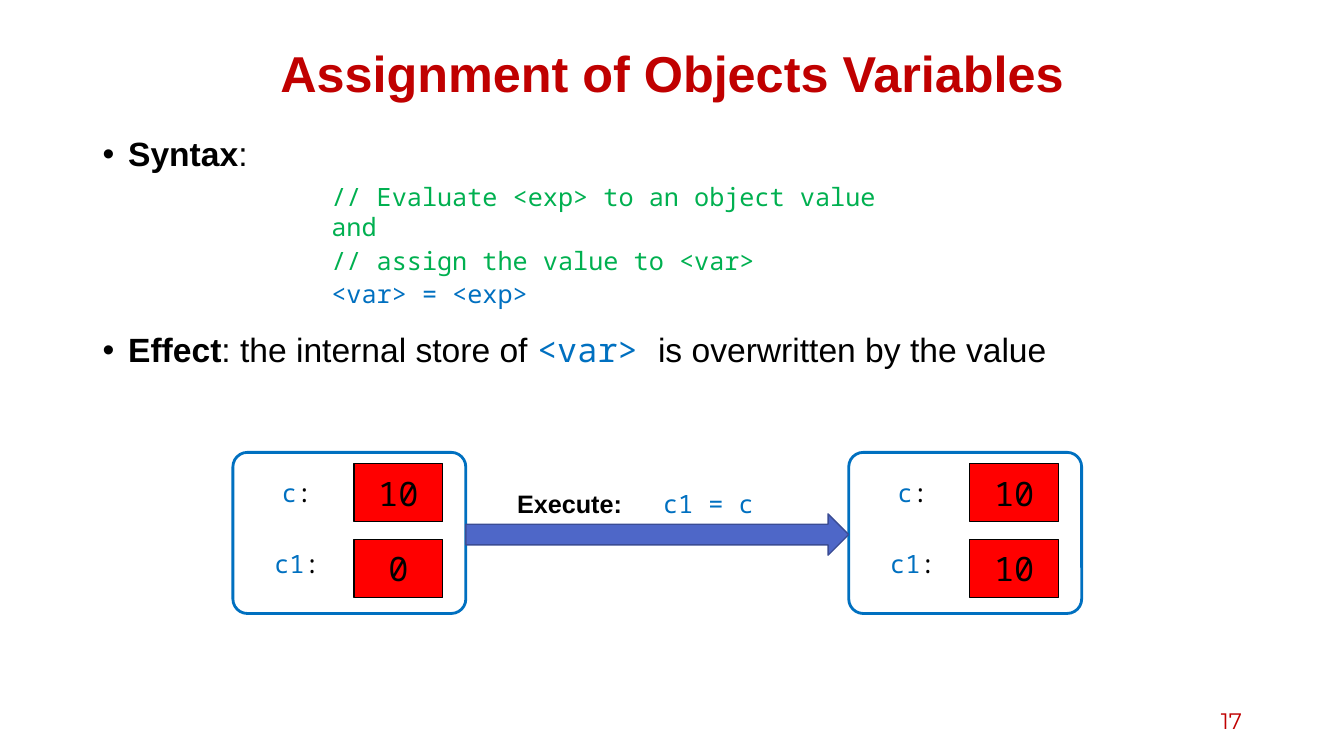
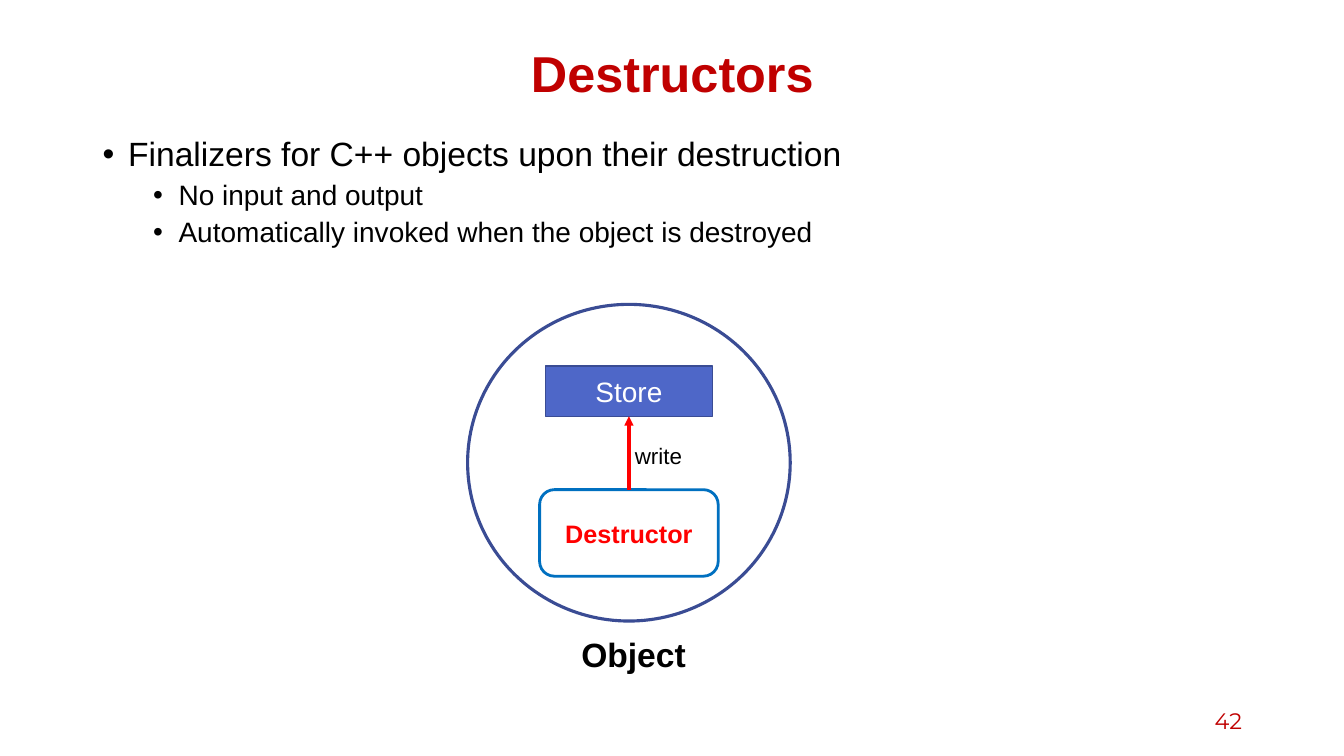
from dataclasses import dataclass

from lxml import etree
from pptx import Presentation
from pptx.dml.color import RGBColor
from pptx.enum import shapes, text
from pptx.oxml import ns
from pptx.util import Cm, Pt

KIND = shapes.MSO_SHAPE
ALIGN = text.PP_ALIGN
ANCHOR = text.MSO_ANCHOR


@dataclass(frozen=True)
class Theme:
    sans: str = "Arial"
    mono: str = "Noto Sans Mono"
    number: str = "Montserrat"
    title_red: str = "C00000"
    red: str = "FF0000"
    black: str = "000000"
    white: str = "FFFFFF"
    blue: str = "0070C0"
    green: str = "00B050"
    indigo: str = "4E67C8"
    dark_indigo: str = "3A4C94"
    title_size: int = 36
    body_size: int = 24
    sub_size: int = 20
    label_size: int = 18
    small_size: int = 16


THEME = Theme()


def style(size, color=THEME.black, name=THEME.sans, bold=False):
    return {"size": Pt(size), "name": name, "bold": bold, "color": color}


TITLE = style(THEME.title_size, THEME.title_red, bold=True)
NUMBER = style(THEME.small_size, THEME.title_red, THEME.number)
BODY = style(THEME.body_size)
BODY_BOLD = style(THEME.body_size, bold=True)
BODY_CODE = style(THEME.body_size, THEME.blue, THEME.mono)
SUB = style(THEME.sub_size)
CODE = style(THEME.label_size, THEME.blue, THEME.mono)
COMMENT = style(THEME.label_size, THEME.green, THEME.mono)
COLON = style(THEME.label_size, name=THEME.mono)
VALUE = style(THEME.body_size, name=THEME.mono)
LABEL = style(THEME.label_size, bold=True)
DESTRUCTOR = style(THEME.label_size, THEME.red, bold=True)
STORE = style(THEME.sub_size, THEME.white)
NOTE = style(THEME.small_size)

# Body paragraphs: level, space before in points, runs
ASSIGNMENT = {
    "title": "Assignment of Objects Variables",
    "number": "17",
    "body": [
        (0, 0, [("Syntax", BODY_BOLD), (":", BODY)]),
        (0, 114, [("Effect", BODY_BOLD), (": the internal store of ", BODY),
                  ("<var> ", BODY_CODE), ("is overwritten by the value", BODY)]),
    ],
}
DESTRUCTORS = {
    "title": "Destructors",
    "number": "42",
    "body": [
        (0, 0, [("Finalizers for C++ objects upon their destruction", BODY)]),
        (1, 5, [("No input and output", SUB)]),
        (1, 5, [("Automatically invoked when the object is destroyed", SUB)]),
    ],
}
SYNTAX = [
    ("// Evaluate <exp> to an object value and", COMMENT),
    ("// assign the value to <var>", COMMENT),
    ("<var> = <exp>", CODE),
]
BEFORE = [("c", "10"), ("c1", "0")]
AFTER = [("c", "10"), ("c1", "10")]


def add_runs(paragraph, runs):
    for wording, format_values in runs:
        run = paragraph.add_run()
        run.text = wording
        for attribute, value in format_values.items():
            if attribute == "color":
                run.font.color.rgb = RGBColor.from_string(value)
            else:
                setattr(run.font, attribute, value)


def add_text(slide, box, paragraphs, align=ALIGN.LEFT, anchor=ANCHOR.TOP, **spacing):
    """Add a text box; spacing holds paragraph attributes, space_before from the second on."""
    frame = slide.shapes.add_textbox(*map(Cm, box)).text_frame
    frame.word_wrap = True
    frame.vertical_anchor = anchor
    for index, runs in enumerate(paragraphs):
        paragraph = frame.add_paragraph() if index else frame.paragraphs[0]
        paragraph.alignment = align
        for attribute, value in spacing.items():
            if index or attribute != "space_before":
                setattr(paragraph, attribute, value)
        add_runs(paragraph, runs)
    return frame


def add_shape(slide, kind, box, line, width, fill=None, runs=()):
    shape = slide.shapes.add_shape(kind, *map(Cm, box))
    shape.shadow.inherit = False
    if fill:
        shape.fill.solid()
        shape.fill.fore_color.rgb = RGBColor.from_string(fill)
    else:
        shape.fill.background()
    shape.line.color.rgb = RGBColor.from_string(line)
    shape.line.width = Pt(width)
    if runs:
        frame = shape.text_frame
        frame.vertical_anchor = ANCHOR.MIDDLE
        frame.paragraphs[0].alignment = ALIGN.CENTER
        add_runs(frame.paragraphs[0], runs)
    return shape


def add_rounded(slide, box, adjustment, runs=()):
    shape = add_shape(slide, KIND.ROUNDED_RECTANGLE, box, THEME.blue, 2, runs=runs)
    shape.adjustments[0] = adjustment


def set_bullet(paragraph, level):
    properties = paragraph._p.get_or_add_pPr()
    properties.set("marL", str(Cm(0.64 + 1.27 * level)))
    properties.set("indent", str(-Cm(0.64)))
    font = etree.SubElement(properties, ns.qn("a:buFont"))
    font.set("typeface", THEME.sans)
    etree.SubElement(properties, ns.qn("a:buChar")).set("char", "•")


def add_slide(presentation, content):
    """Add a slide with the shared title, bulleted body and page number."""
    slide = presentation.slides.add_slide(presentation.slide_layouts[6])
    add_text(slide, (2.34, 1.02, 29.21, 1.78), [[(content["title"], TITLE)]],
             ALIGN.CENTER, ANCHOR.MIDDLE, line_spacing=0.9)
    body = content["body"]
    frame = add_text(slide, (2.34, 3.35, 29.21, 14), [runs for _, _, runs in body],
                     line_spacing=0.9)
    for paragraph, (level, before, _) in zip(frame.paragraphs, body):
        paragraph.level = level
        if before:
            paragraph.space_before = Pt(before)
        set_bullet(paragraph, level)
    add_text(slide, (23.93, 17.65, 7.62, 1.02), [[(content["number"], NUMBER)]],
             ALIGN.RIGHT, ANCHOR.MIDDLE)
    return slide


def add_memory(slide, left, top, width, variables):
    """Draw a rounded frame holding one named cell per variable."""
    for row, (name, value) in enumerate(variables):
        add_shape(slide, KIND.RECTANGLE,
                  (left + 3.05, top + 0.28 + 1.91 * row, 2.24, 1.47),
                  THEME.black, 1, THEME.red, [(value, VALUE)])
        add_text(slide, (left + 0.65, top + 0.51 + 1.78 * row, 1.93, 1.02),
                 [[(name, CODE), (":", COLON)]], ALIGN.CENTER)
    add_rounded(slide, (left, top, width, 4.06), 0.09)


def draw_assignment(slide):
    left, right, top, width = 5.87, 21.39, 11.4, 5.87
    add_memory(slide, left, top, width, BEFORE)
    add_memory(slide, right, top, width, AFTER)
    arrow_left = left + width
    add_shape(slide, KIND.RIGHT_ARROW, (arrow_left, 12.95, right - arrow_left, 1.04),
              THEME.dark_indigo, 1, THEME.indigo)
    add_text(slide, (12.78, 12.18, 4.04, 1.02), [[("Execute:", LABEL)]])
    add_text(slide, (15.19, 12.18, 5.33, 1.02), [[("c1 = c", CODE)]], ALIGN.CENTER)
    add_text(slide, (8.1, 4.45, 14.53, 2.72), [[line] for line in SYNTAX],
             space_before=Pt(2))


def draw_object(slide):
    center = 15.85
    store_top, store_height, destructor_top = 9.22, 1.27, 12.34

    def centered(top, width, height):
        return center - width / 2, top, width, height

    add_shape(slide, KIND.RECTANGLE, centered(store_top, 4.2, store_height),
              THEME.dark_indigo, 1, THEME.indigo, [("Store", STORE)])
    add_shape(slide, KIND.OVAL, centered(7.67, 8.13, 7.98), THEME.dark_indigo, 2.25)
    add_rounded(slide, centered(destructor_top, 4.5, 2.18), 0.17,
                [("Destructor", DESTRUCTOR)])
    arrow = slide.shapes.add_connector(
        shapes.MSO_CONNECTOR.STRAIGHT, Cm(center), Cm(destructor_top),
        Cm(center), Cm(store_top + store_height))
    arrow.line.color.rgb = RGBColor.from_string(THEME.red)
    arrow.line.width = Pt(2.25)
    etree.SubElement(arrow.line._get_or_add_ln(), ns.qn("a:tailEnd")).set("type", "triangle")
    etree.SubElement(arrow._element.spPr, ns.qn("a:effectLst"))
    add_text(slide, (15.75, 11.02, 4.14, 0.94), [[("write", NOTE)]])
    add_text(slide, (14.4, 15.85, 3.3, 1.27), [[("Object", BODY_BOLD)]])


def main():
    presentation = Presentation()
    presentation.slide_width, presentation.slide_height = Cm(33.87), Cm(19.05)
    draw_assignment(add_slide(presentation, ASSIGNMENT))
    draw_object(add_slide(presentation, DESTRUCTORS))
    presentation.save("out.pptx")


if __name__ == "__main__":
    main()
